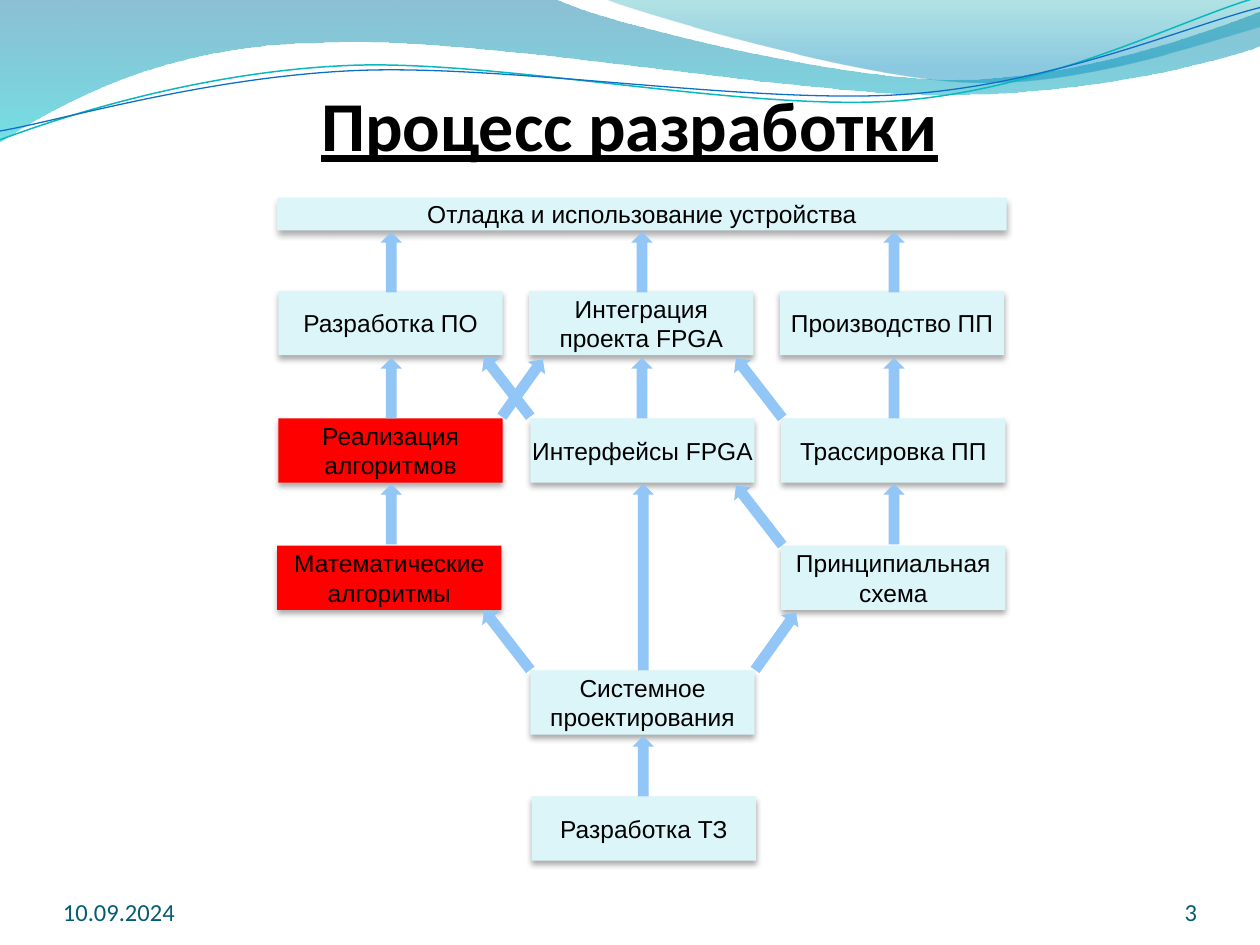
from lxml import etree
from pptx import Presentation
from pptx.dml.color import RGBColor
from pptx.enum.shapes import MSO_SHAPE
from pptx.enum.text import MSO_ANCHOR, MSO_AUTO_SIZE, PP_ALIGN
from pptx.oxml.ns import qn
from pptx.util import Inches, Pt

RECT, ARROW = MSO_SHAPE.RECTANGLE, MSO_SHAPE.UP_ARROW
LEFT, MID, RIGHT = PP_ALIGN.LEFT, PP_ALIGN.CENTER, PP_ALIGN.RIGHT
CENTER, BOTTOM = MSO_ANCHOR.MIDDLE, MSO_ANCHOR.BOTTOM
GROW = MSO_AUTO_SIZE.SHAPE_TO_FIT_TEXT

PALE, RED, BLUE, BLACK, TEAL = "DBF5F9", "FF0000", "91C6F7", "000000", "045D75"
HEADS = [3.02, 5.01, 7.01]
ROWS = [2.31, 3.32, 4.33, 5.32, 6.32]
NO_PAD = {f"margin_{side}": 0 for side in ("left", "top", "right", "bottom")}
BODY = {"size": Pt(14), "name": "Arial"}
FOOT = {"size": Pt(14), "name": "Calibri"}
HEAD = {"size": Pt(40), "name": "Calibri", "bold": True, "underline": True}

BOXES = [
    (2.21, 0, "Разработка ПО", PALE),
    (4.2, 0, "Интеграция проекта FPGA", PALE),
    (6.19, 0, "Производство ПП", PALE),
    (2.21, 1, "Реализация алгоритмов", RED),
    (4.21, 1, "Интерфейсы FPGA", PALE),
    (6.2, 1, "Трассировка ПП", PALE),
    (2.2, 2, "Математические алгоритмы", RED),
    (4.21, 3, "Системное проектирования", PALE),
    (6.2, 2, "Принципиальная схема", PALE),
    (4.22, 4, "Разработка ТЗ", PALE),
]
SHORT = [(1, 0), (2, 0), (0, 0), (1, 1), (2, 1), (0, 1), (2, 2), (0, 2)]
LEAN_R = [(6.07, 4.81), (4.06, 2.8)]
LEAN_L = [(3.94, 4.78), (3.94, 2.77), (5.94, 2.78), (5.94, 3.79)]

WAVES = [
    ([(0, -0.01), (4.4, -0.01),
      (4.76, 0.17, 6.64, 0.63, 7.58, 0.63), (8.53, 0.63, 9.58, 0.26, 10, 0.09),
      (10.01, 0.36),
      (9.83, 0.44, 8.7, 0.76, 7.46, 0.75), (6.22, 0.75, 3.82, 0.28, 2.57, 0.34),
      (1.29, 0.35, 0.46, 0.83, -0.01, 1.13), (0, -0.01)],
     [(0, "0074A1", 45), (1, "00C6CF", 55)]),
    ([(4.79, -0.01),
      (5.09, 0.11, 6.82, 0.62, 7.69, 0.65), (8.56, 0.69, 9.61, 0.32, 10, 0.21),
      (10, 0), (4.79, -0.01)],
     [(0, "00A1A9", 30), (0.8, "008BBF", 45)]),
]
LINES = [
    ([(0, 1.11), (0.48, 0.93, 1.58, 0.57, 2.77, 0.52),
      (3.95, 0.47, 5.93, 0.89, 7.13, 0.8), (8.33, 0.71, 9.38, 0.15, 9.98, -0.02)],
     "0AB8BF", 0.85),
    ([(0, 1.04), (0.47, 0.96, 1.64, 0.61, 2.83, 0.56),
      (4.03, 0.51, 5.97, 0.83, 7.17, 0.75), (8.36, 0.67, 9.41, 0.21, 10, 0.06)],
     "0F6FC6", 0.75),
]


def rgb(code):
    """Turn a hex string into a colour."""
    return RGBColor.from_string(code)


def apply(item, style):
    """Set each attribute in the style dict."""
    for name, value in style.items():
        setattr(item, name, value)


def alpha(node, part):
    """Add an opacity in percent to a colour node."""
    etree.SubElement(node, qn("a:alpha")).set("val", str(part * 1000))


def bend(shape, node, step):
    """Turn a line node into a Bezier node with its two handles."""
    cubic = etree.Element(qn("a:cubicBezTo"))
    for x, y in (step[:2], step[2:4]):
        point = etree.SubElement(cubic, qn("a:pt"))
        point.set("x", str(Inches(x) - shape.left))
        point.set("y", str(Inches(y) - shape.top))
    cubic.append(node[0])
    node.getparent().replace(node, cubic)


def curve(slide, steps, close):
    """Draw an outline of lines and Bezier curves without a shadow."""
    ends = [tuple(map(Inches, step[-2:])) for step in steps]
    pen = slide.shapes.build_freeform(*ends[0], scale=1.0)
    pen.add_line_segments(ends[1:], close=close)
    shape = pen.convert_to_shape()
    shape.shadow.inherit = False
    nodes = list(shape.element.spPr.iter(qn("a:lnTo")))
    for node, step in zip(nodes, steps[1:]):
        if len(step) == 6:
            bend(shape, node, step)
    return shape


def wave(slide, steps, stops):
    """Draw a closed band with a vertical see-through gradient."""
    shape = curve(slide, steps, True)
    shape.line.fill.background()
    shape.fill.gradient()
    shape.fill.gradient_angle = 270
    for stop, (place, code, _) in zip(shape.fill.gradient_stops, stops):
        stop.position = place
        stop.color.rgb = rgb(code)
    nodes = list(shape.element.spPr.iter(qn("a:srgbClr")))
    for node, (_, _, part) in zip(nodes, stops):
        alpha(node, part)


def stroke(slide, steps, code, width):
    """Draw an open curved line."""
    shape = curve(slide, steps, False)
    shape.fill.background()
    shape.line.color.rgb = rgb(code)
    shape.line.width = Pt(width)


def write(shape, text, align, code, font, frame):
    """Put one styled paragraph into a shape."""
    apply(shape.text_frame, frame)
    para = shape.text_frame.paragraphs[0]
    para.alignment = align
    run = para.add_run()
    run.text = text
    run.font.color.rgb = rgb(code)
    apply(run.font, font)


def label(slide, at, text, align, code, font, frame):
    """Add a text box."""
    area = slide.shapes.add_textbox(*map(Inches, at))
    write(area, text, align, code, font, frame)


def solid(slide, kind, at, code):
    """Add a plain filled shape without a line."""
    shape = slide.shapes.add_shape(kind, *map(Inches, at))
    shape.shadow.inherit = False
    shape.fill.solid()
    shape.fill.fore_color.rgb = rgb(code)
    shape.line.fill.background()
    return shape


def box(slide, at, text, code):
    """Add a stage box with a soft shadow below."""
    shape = solid(slide, RECT, at, code)
    glow = etree.SubElement(shape.element.spPr.find(qn("a:effectLst")), qn("a:outerShdw"))
    look = {"blurRad": Pt(3.5), "dist": Pt(2.2), "dir": 5400000, "rotWithShape": 0}
    for name, value in look.items():
        glow.set(name, str(int(value)))
    tint = etree.SubElement(glow, qn("a:srgbClr"))
    tint.set("val", BLACK)
    alpha(tint, 32)
    write(shape, text, MID, BLACK, BODY,
          {**NO_PAD, "word_wrap": True, "vertical_anchor": CENTER})


def arrow(slide, x, y, tall, turn=0):
    """Add an up arrow, turned by some degrees."""
    solid(slide, ARROW, (x, y, 0.17, tall), BLUE).rotation = turn


def main():
    """Build and save the slide."""
    deck = Presentation()
    apply(deck, {"slide_width": Inches(10), "slide_height": Inches(7.5)})
    slide = deck.slides.add_slide(deck.slide_layouts[6])
    for item in WAVES:
        wave(slide, *item)
    for item in LINES:
        stroke(slide, *item)
    label(slide, (2.42, 0.6, 5.15, 0.77), "Процесс разработки", MID, BLACK, HEAD,
          {"word_wrap": False, "auto_size": GROW})
    foot = {**NO_PAD, "word_wrap": True, "vertical_anchor": BOTTOM}
    label(slide, (0.5, 6.95, 2.33, 0.4), "10.09.2024", LEFT, TEAL, FOOT, foot)
    label(slide, (8.67, 6.95, 0.83, 0.4), "3", RIGHT, TEAL, FOOT, foot)
    box(slide, (2.2, 1.57, 5.79, 0.26), "Отладка и использование устройства", PALE)
    for x, row, text, code in BOXES:
        box(slide, (x, ROWS[row], 1.78, 0.51), text, code)
    for col, row in SHORT:
        arrow(slide, HEADS[col], 1.84 + row, 0.48)
    for y, tall in ((3.84, 1.48), (5.84, 0.48)):
        arrow(slide, 5.02, y, tall)
    for x, y in LEAN_R:
        arrow(slide, x, y, 0.56, 35.5)
    for x, y in LEAN_L:
        arrow(slide, x, y, 0.6, 322.2)
    deck.save("out.pptx")


if __name__ == "__main__":
    main()
